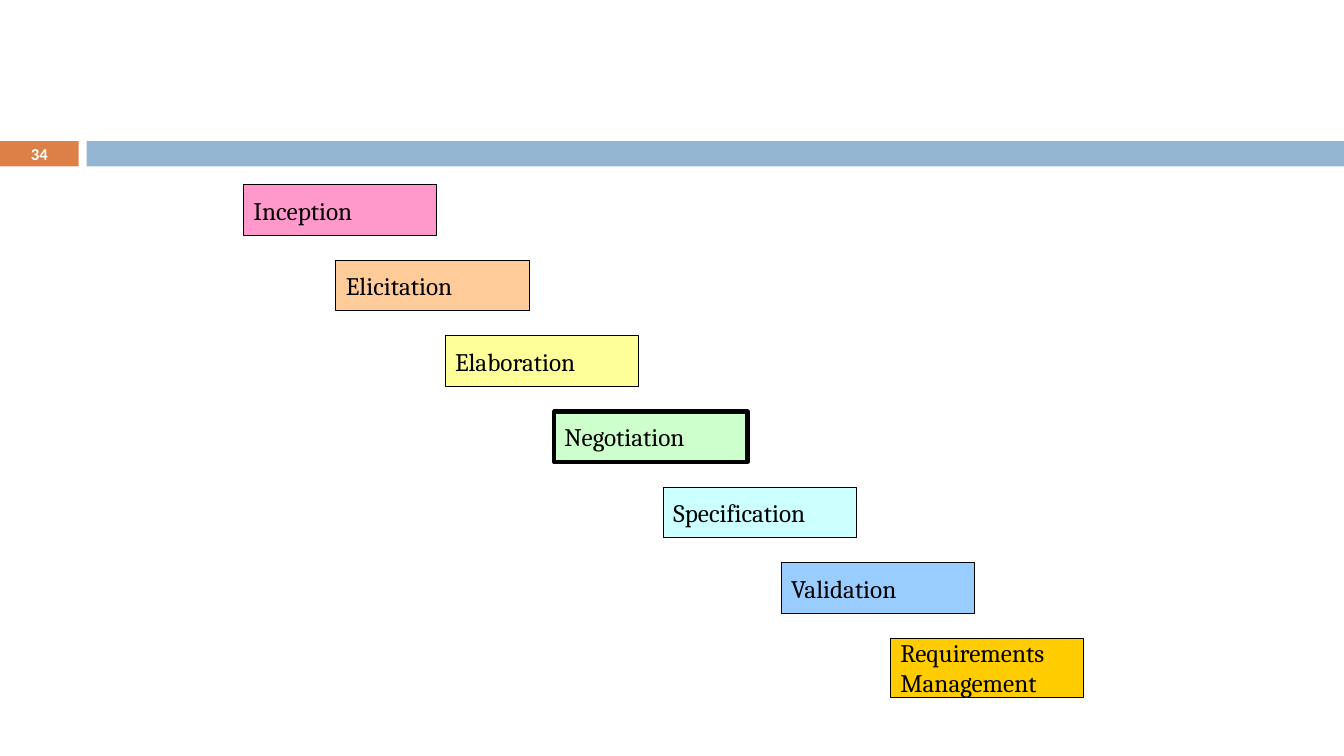
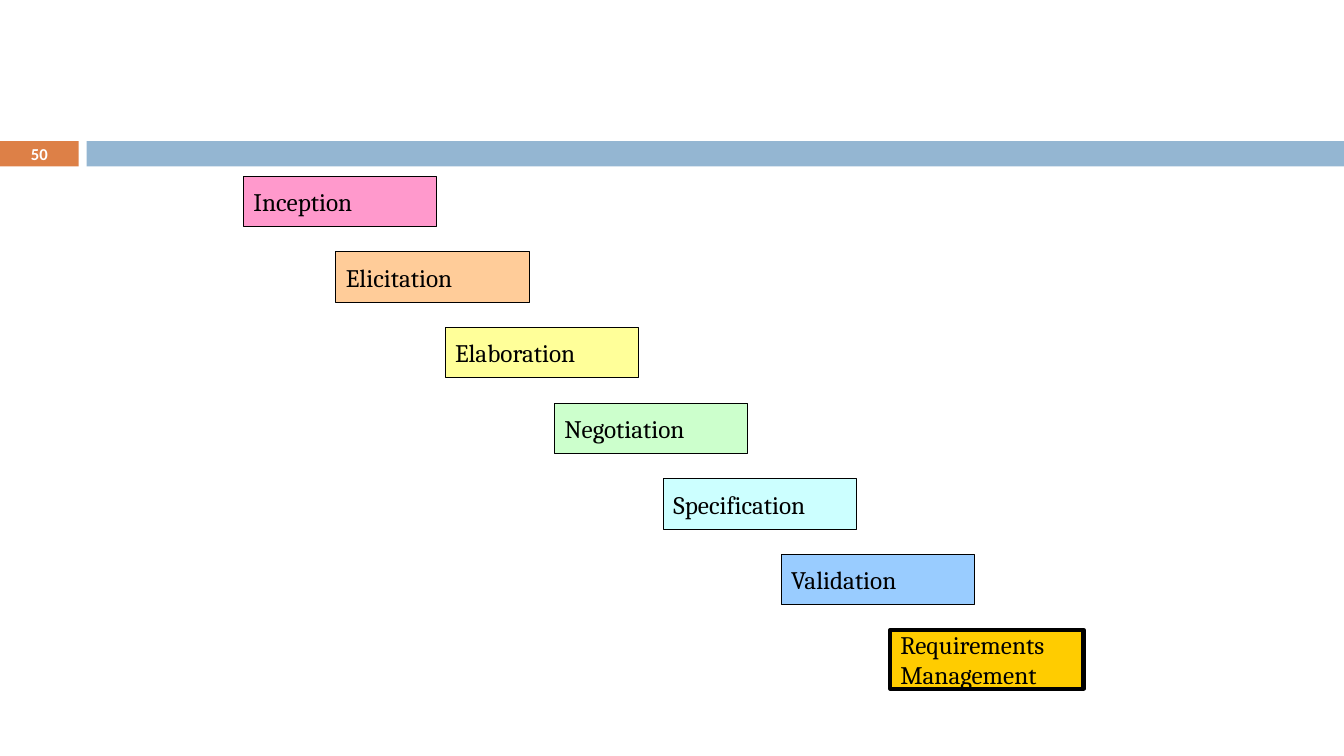
import pptx
import pptx.dml.color
import pptx.enum.shapes
import pptx.enum.text
import pptx.util

Pt = pptx.util.Pt
ALIGN = pptx.enum.text.PP_ALIGN

SLIDE_WIDTH, SLIDE_HEIGHT = 960, 540
BLACK, WHITE = "000000", "FFFFFF"
ORANGE, BLUE = "DD8047", "94B6D2"
BAND_TOP, BAND_HEIGHT = 100.8, 18
NUMBER_WIDTH, BAND_LEFT = 56.16, 61.92

STEP_WIDTH, LINE_HEIGHT, STEP_PITCH = 138, 36, 54
TALL_STEP_HEIGHT = 42
STAIRS_LEFT = 174
# Name, fill and offset from the left edge of the staircase
STEPS = [
    ("Inception", "FF99CC", 0),
    ("Elicitation", "FFCC99", 66),
    ("Elaboration", "FFFF99", 144),
    ("Negotiation", "CCFFCC", 222),
    ("Specification", "CCFFFF", 300),
    ("Validation", "99CCFF", 384),
    ("Requirements\nManagement", "FFCC00", 462),
]


def color(hex_string):
    """Turn a hex string into a colour."""
    return pptx.dml.color.RGBColor.from_string(hex_string)


def add_box(slide, left, top, width, height, fill, line_width=0):
    """Add a filled rectangle, with a black outline if a line width is given."""
    shape = slide.shapes.add_shape(
        pptx.enum.shapes.MSO_SHAPE.RECTANGLE,
        Pt(left), Pt(top), Pt(width), Pt(height))
    shape.shadow.inherit = False
    shape.fill.solid()
    shape.fill.fore_color.rgb = color(fill)
    if line_width:
        shape.line.color.rgb = color(BLACK)
        shape.line.width = Pt(line_width)
    else:
        shape.line.fill.background()
    return shape


def write_text(shape, text, font_name, size, font_color, alignment, bold=False):
    """Write vertically centred text and format every run."""
    text_frame = shape.text_frame
    text_frame.text = text
    text_frame.word_wrap = True
    text_frame.vertical_anchor = pptx.enum.text.MSO_ANCHOR.MIDDLE
    for paragraph in text_frame.paragraphs:
        paragraph.alignment = alignment
        for run in paragraph.runs:
            run.font.name = font_name
            run.font.size = Pt(size)
            run.font.bold = bold
            run.font.color.rgb = color(font_color)


def add_band(slide, number, top):
    """Add the orange number block and the blue band beside it."""
    block = add_box(slide, 0, top, NUMBER_WIDTH, BAND_HEIGHT, ORANGE)
    write_text(block, str(number), "Calibri", 11.9, WHITE, ALIGN.CENTER, bold=True)
    add_box(slide, BAND_LEFT, top, SLIDE_WIDTH - BAND_LEFT, BAND_HEIGHT, BLUE)


def add_stairs(slide, left, top, current_step):
    """Add the descending steps and outline the current one heavily."""
    for index, (name, fill, offset) in enumerate(STEPS):
        height = TALL_STEP_HEIGHT if "\n" in name else LINE_HEIGHT
        line_width = 3 if index == current_step else 0.75
        step = add_box(slide, left + offset, top + index * STEP_PITCH,
                       STEP_WIDTH, height, fill, line_width)
        write_text(step, name, "Cambria", 18, BLACK, ALIGN.LEFT)


def add_step_slide(presentation, number, stairs_top, current_step):
    """Add a slide showing the current requirements engineering step."""
    slide = presentation.slides.add_slide(presentation.slide_layouts[6])
    add_band(slide, number, BAND_TOP)
    add_stairs(slide, STAIRS_LEFT, stairs_top, current_step)


presentation = pptx.Presentation()
presentation.slide_width = Pt(SLIDE_WIDTH)
presentation.slide_height = Pt(SLIDE_HEIGHT)
add_step_slide(presentation, number=34, stairs_top=132, current_step=3)
add_step_slide(presentation, number=50, stairs_top=126, current_step=6)
presentation.save("out.pptx")
